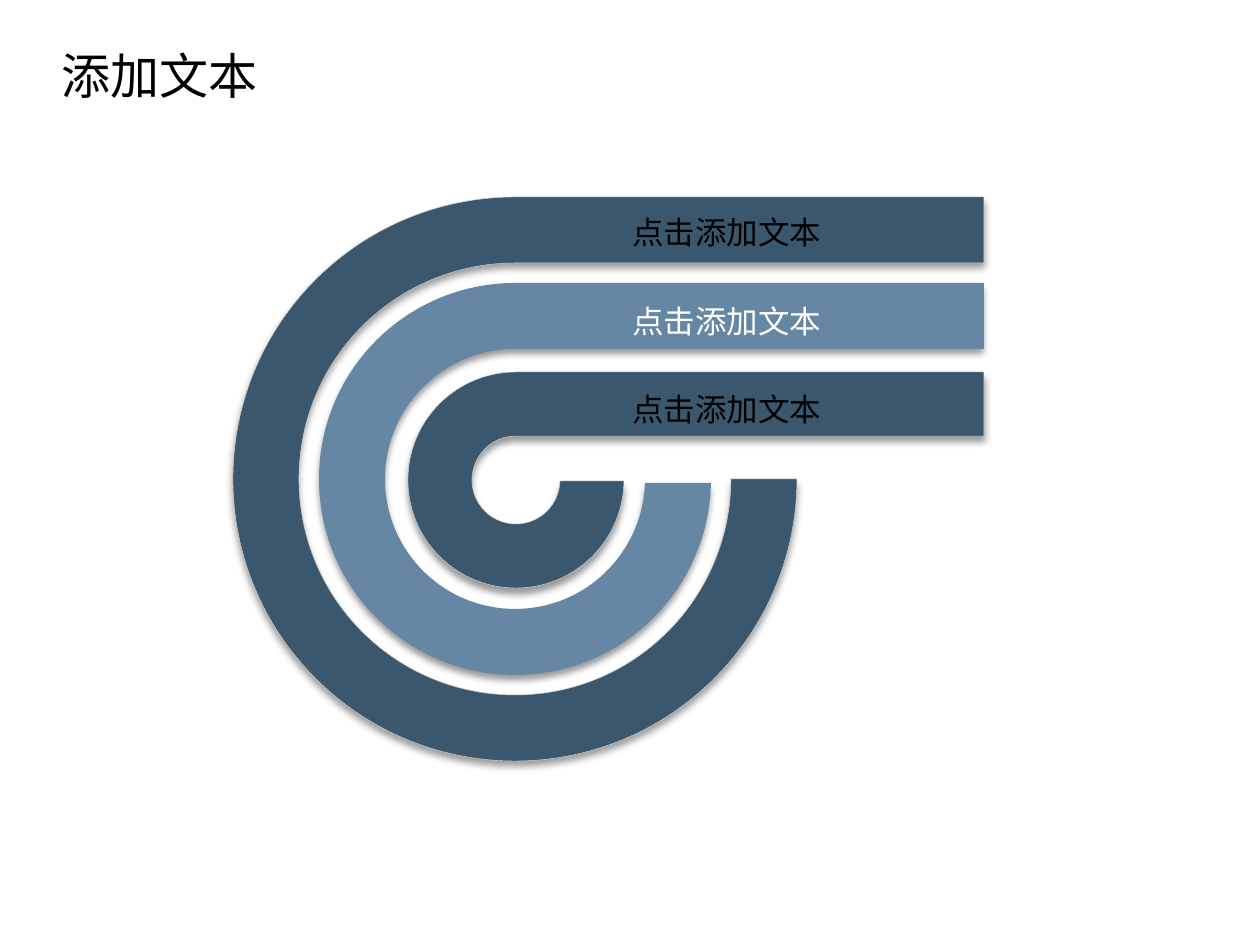
from dataclasses import dataclass
from itertools import pairwise
from math import asin, cos, radians, sin, tan

from lxml.etree import SubElement
from pptx import Presentation
from pptx.dml.color import RGBColor
from pptx.enum.text import MSO_ANCHOR, MSO_AUTO_SIZE, PP_ALIGN
from pptx.oxml.ns import qn
from pptx.util import Emu, Pt

EMU_PER_PX = 914400 / 126


@dataclass(frozen=True)
class Theme:
    font: str = "Noto Sans CJK SC"
    dark: str = "3B576D"
    light: str = "6587A3"
    outline: str = "D7D7D7"
    black: str = "000000"
    white: str = "FFFFFF"
    title_size: int = 28
    label_size: int = 18


@dataclass(frozen=True)
class Box:
    left: int
    top: int
    width: int
    height: int


@dataclass(frozen=True)
class Band:
    center: tuple[int, int]
    outer_radius: int
    inner_radius: int
    end_y: int
    fill: str
    outlined: bool
    label: str
    label_top: int
    label_color: str


Point = tuple[float, float]
THEME = Theme()
BAR_RIGHT = 984
ARC_JOINTS = [radians(angle) for angle in (90, 135, 225, 315)]
LABEL_LEFT, LABEL_WIDTH, LABEL_HEIGHT = 620, 217, 50
TITLE_BOX = Box(49, 39, 223, 72)
TEXT_FRAME_FORMAT = {
    "word_wrap": False,
    "auto_size": MSO_AUTO_SIZE.SHAPE_TO_FIT_TEXT,
    "vertical_anchor": MSO_ANCHOR.TOP,
}
BANDS = [
    Band((515, 479), 282, 216, 479, THEME.dark, True, "点击添加文本", 207, THEME.black),
    Band((515, 479), 196, 130, 483, THEME.light, False, "点击添加文本", 296, THEME.white),
    Band((516, 480), 108, 44, 481, THEME.dark, True, "点击添加文本", 384, THEME.black),
]


def px(length: float) -> Emu:
    return Emu(round(length * EMU_PER_PX))


def place(shape, box: Box) -> None:
    for side in ("left", "top", "width", "height"):
        setattr(shape, side, px(getattr(box, side)))


def write_text(shape, text: str, size: int, color: str) -> None:
    frame = shape.text_frame
    for name, value in TEXT_FRAME_FORMAT.items():
        setattr(frame, name, value)
    paragraph = frame.paragraphs[0]
    paragraph.alignment = PP_ALIGN.LEFT
    run = paragraph.add_run()
    run.text = text
    for name, value in {"size": Pt(size), "name": THEME.font}.items():
        setattr(run.font, name, value)
    run.font.color.rgb = RGBColor.from_string(color)
    # East Asian glyphs use their own font entry
    SubElement(run.font._element, qn("a:ea"), typeface=THEME.font)


def arc_points(band: Band, radius: int) -> list[Point]:
    """Bezier points from the top, round the left and bottom, to the band's end."""
    center_x, center_y = band.center
    end = radians(360) - asin((band.end_y - center_y) / radius)

    def on_circle(angle: float, lead: float = 0) -> Point:
        """The point at an angle, moved along its tangent by lead radii."""
        return (center_x + radius * (cos(angle) - lead * sin(angle)),
                center_y - radius * (sin(angle) + lead * cos(angle)))

    points = [on_circle(ARC_JOINTS[0])]
    for first, last in pairwise([*ARC_JOINTS, end]):
        lead = 4 / 3 * tan((last - first) / 4)
        points += [on_circle(first, lead), on_circle(last, -lead), on_circle(last)]
    return points


def curve_segments(shape, first: int, count: int) -> None:
    """Turn a run of line segments into cubic curves, three points each."""
    lines = list(shape._element.iter(qn("a:lnTo")))[first:first + count]
    for start in range(0, count, 3):
        head, *rest = lines[start:start + 3]
        head.tag = qn("a:cubicBezTo")
        for line in rest:
            head.append(line[0])
            line.getparent().remove(line)


def add_shadow(shape) -> None:
    shape.shadow.inherit = False
    effects = shape._element.spPr.find(qn("a:effectLst"))
    shadow = SubElement(effects, qn("a:outerShdw"), blurRad=str(Pt(4)),
                        dist=str(Pt(3)), dir="5400000", rotWithShape="0")
    color = SubElement(shadow, qn("a:srgbClr"), val=THEME.black)
    SubElement(color, qn("a:alpha"), val="40000")


def add_band(slide, band: Band) -> None:
    center_y = band.center[1]
    inner_arc = arc_points(band, band.inner_radius)
    outer_arc = arc_points(band, band.outer_radius)[::-1]
    bar_top = (BAR_RIGHT, center_y - band.outer_radius)
    bar_bottom = (BAR_RIGHT, center_y - band.inner_radius)
    start, *points = [(px(x), px(y)) for x, y in
                      [bar_top, bar_bottom, *inner_arc, *outer_arc]]
    builder = slide.shapes.build_freeform(*start)
    builder.add_line_segments(points, close=True)
    shape = builder.convert_to_shape()
    # Outer arc first, so that the inner one keeps its place in the outline
    curve_segments(shape, len(inner_arc) + 2, len(outer_arc) - 1)
    curve_segments(shape, 2, len(inner_arc) - 1)
    shape.fill.solid()
    shape.fill.fore_color.rgb = RGBColor.from_string(band.fill)
    if band.outlined:
        shape.line.color.rgb = RGBColor.from_string(THEME.outline)
        shape.line.width = Pt(0.25)
    else:
        shape.line.fill.background()
    add_shadow(shape)


def add_label(slide, band: Band) -> None:
    text_box = slide.shapes.add_textbox(0, 0, 0, 0)
    place(text_box, Box(LABEL_LEFT, band.label_top, LABEL_WIDTH, LABEL_HEIGHT))
    write_text(text_box, band.label, THEME.label_size, band.label_color)


def main() -> None:
    presentation = Presentation()
    presentation.slide_width, presentation.slide_height = px(1260), px(945)
    slide = presentation.slides.add_slide(presentation.slide_layouts[5])

    # Title
    title = slide.shapes.title
    place(title, TITLE_BOX)
    write_text(title, "添加文本", THEME.title_size, THEME.black)

    # Spiral bands, then the labels on their bars
    for band in BANDS:
        add_band(slide, band)
    for band in BANDS:
        add_label(slide, band)

    presentation.save("out.pptx")


if __name__ == "__main__":
    main()
